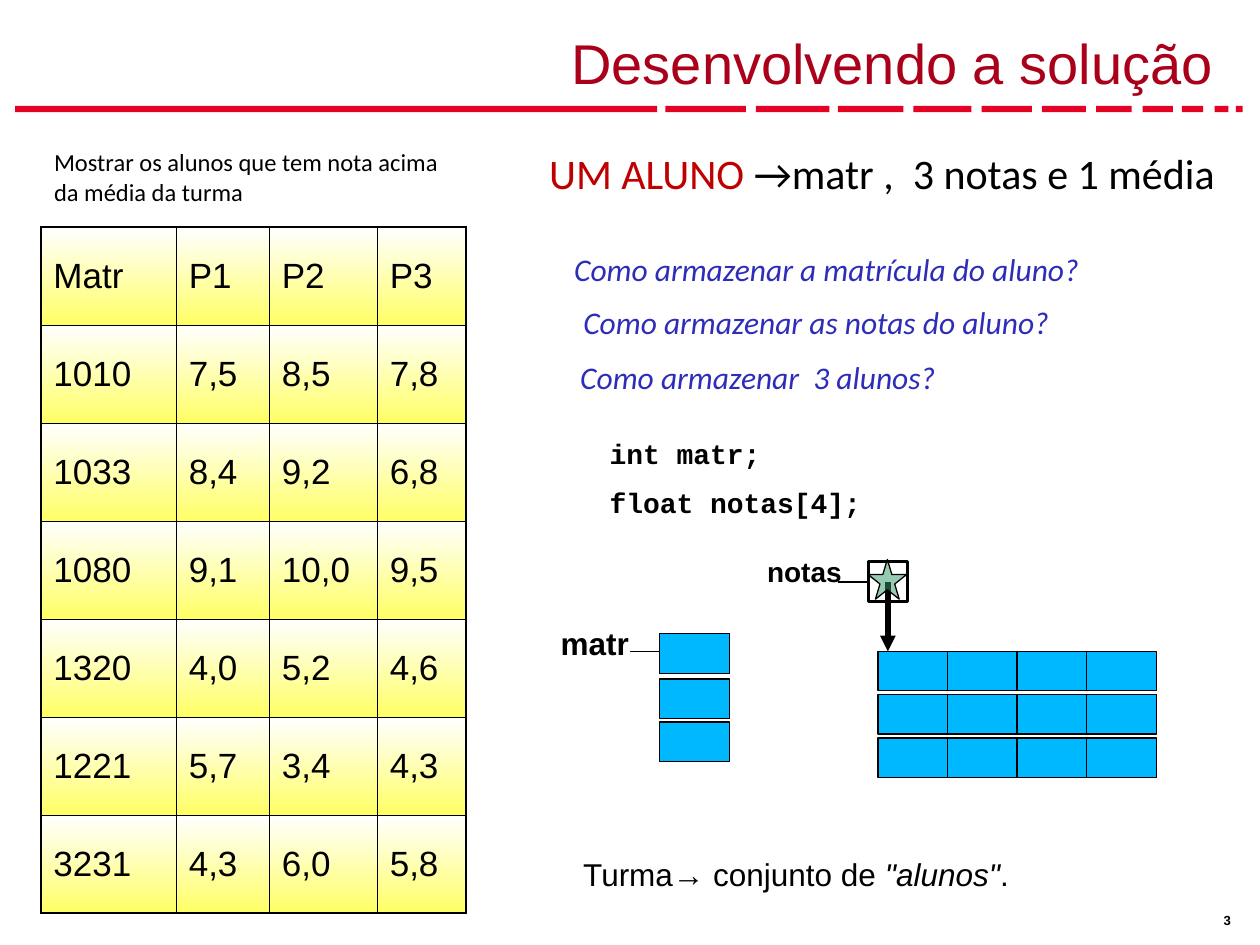
from dataclasses import dataclass
from typing import NamedTuple

from lxml import etree
from pptx import Presentation
from pptx.dml.color import RGBColor
from pptx.enum import shapes as kinds, text as modes
from pptx.oxml import ns
from pptx.util import Pt

RED = RGBColor(0xE4, 0x01, 0x23)
WINE = RGBColor(0xAA, 0x00, 0x1A)
BRICK = RGBColor(0xC0, 0x00, 0x00)
BLUE = RGBColor(0x2D, 0x2D, 0xB9)
SKY = RGBColor(0x00, 0xB8, 0xFF)
GREEN = RGBColor(0x33, 0x99, 0x66)
LEMON = RGBColor(0xFF, 0xFF, 0x66)
WHITE = RGBColor(0xFF, 0xFF, 0xFF)
BLACK = RGBColor(0x00, 0x00, 0x00)

LEFT, MID, RIGHT = modes.PP_ALIGN.LEFT, modes.PP_ALIGN.CENTER, modes.PP_ALIGN.RIGHT
TOP, BASE = modes.MSO_ANCHOR.TOP, modes.MSO_ANCHOR.BOTTOM
RECT, STAR = kinds.MSO_SHAPE.RECTANGLE, kinds.MSO_SHAPE.STAR_5_POINT
THIN, THICK = 0.45, 1.08


class Box(NamedTuple):
    left: float
    top: float
    width: float
    height: float


class Span(NamedTuple):
    text: str
    color: RGBColor = BLACK
    slant: bool = False


@dataclass
class Label:
    box: Box
    spans: list[Span]
    size: float
    font: str = "Arial"
    bold: bool = False
    align: modes.PP_ALIGN = LEFT
    anchor: modes.MSO_ANCHOR = TOP
    pads: tuple[float, float] = (7.2, 3.6)


DASHES = [(8.6, 367), (380.2, 46), (432, 42), (478.8, 37.5), (522, 33.1),
          (560.9, 28.8), (595.4, 25.2), (626.4, 20.2), (653, 17.3),
          (675.4, 12.2), (694.1, 7.9), (706.3, 3.8)]

GRADES = [
    ("Matr", "P1", "P2", "P3"),
    ("1010", "7,5", "8,5", "7,8"),
    ("1033", "8,4", "9,2", "6,8"),
    ("1080", "9,1", "10,0", "9,5"),
    ("1320", "4,0", "5,2", "4,6"),
    ("1221", "5,7", "3,4", "4,3"),
    ("3231", "4,3", "6,0", "5,8"),
]
WIDTHS = [77.4, 53.2, 61.7, 50.6]
TALL = 56

LABELS = [
    Label(Box(693.4, 518.4, 23.8, 14.4), [Span("3")], 7.5, bold=True, pads=(5.8, 2.9)),
    Label(Box(22.3, 5.8, 678.2, 52.6), [Span("Desenvolvendo a solução", WINE)], 32,
          align=RIGHT, anchor=BASE),
    Label(Box(306.7, 80.9, 413.3, 36.7),
          [Span("UM ALUNO ", BRICK), Span("→matr ,  3 notas e 1 média")], 24, "Calibri"),
    Label(Box(321, 139.2, 368, 28.8),
          [Span("Como armazenar a matrícula do aluno?", BLUE, True)], 18, "Calibri"),
    Label(Box(326.2, 169.9, 315.4, 28.8),
          [Span("Como armazenar as notas do aluno?", BLUE, True)], 18, "Calibri"),
    Label(Box(324.5, 201.2, 368, 28.8),
          [Span("Como armazenar  3 alunos?", BLUE, True)], 18, "Calibri"),
    Label(Box(341.3, 246.2, 275.8, 26.6), [Span("int matr;")], 16, "Courier New", True),
    Label(Box(341.3, 273.9, 275.8, 26.6), [Span("float notas[4];")], 16, "Courier New", True),
    Label(Box(320.4, 356.8, 39.6, 21.6), [Span("matr")], 18, bold=True, pads=(0, 0)),
    Label(Box(437, 317, 45.4, 19.4), [Span("notas")], 16, bold=True, align=MID, pads=(0, 0)),
    Label(Box(326.2, 485.3, 275.8, 28.8),
          [Span("Turma→ conjunto de "), Span('"alunos"', slant=True), Span(".")], 18),
    Label(Box(23.8, 80.6, 242.6, 41),
          [Span("Mostrar os alunos que tem nota acima da média da turma")], 14, "Calibri"),
]


def write(slide, label: Label) -> None:
    frame = slide.shapes.add_textbox(*map(Pt, label.box)).text_frame
    frame.word_wrap = True
    frame.vertical_anchor = label.anchor
    frame.margin_left = frame.margin_right = Pt(label.pads[0])
    frame.margin_top = frame.margin_bottom = Pt(label.pads[1])
    para = frame.paragraphs[0]
    para.alignment = label.align
    for span in label.spans:
        run = para.add_run()
        run.text = span.text
        font = run.font
        font.name, font.size, font.bold = label.font, Pt(label.size), label.bold
        font.italic, font.color.rgb = span.slant, span.color


def draw(slide, box: Box, fill: RGBColor | None, line: float = 0, kind=RECT):
    shape = slide.shapes.add_shape(kind, *map(Pt, box))
    shape.shadow.inherit = False
    if fill is None:
        shape.fill.background()
    else:
        shape.fill.solid()
        shape.fill.fore_color.rgb = fill
    if line:
        shape.line.color.rgb = BLACK
        shape.line.width = Pt(line)
    else:
        shape.line.fill.background()
    return shape


def link(slide, start: tuple[float, float], end: tuple[float, float],
         width: float = 0.75, head: bool = False) -> None:
    line = slide.shapes.add_connector(
        kinds.MSO_CONNECTOR.STRAIGHT, *map(Pt, start + end))
    line.line.color.rgb = BLACK
    line.line.width = Pt(width)
    props = line._element.spPr
    if head:
        etree.SubElement(props.find(ns.qn("a:ln")), ns.qn("a:tailEnd"), type="triangle")
    etree.SubElement(props, ns.qn("a:effectLst"))


def edge(cell, side: str, width: float) -> None:
    line = etree.SubElement(cell._tc.get_or_add_tcPr(), ns.qn(f"a:{side}"),
                            w=str(Pt(width)))
    fill = etree.SubElement(line, ns.qn("a:solidFill"))
    etree.SubElement(fill, ns.qn("a:srgbClr"), val=str(BLACK))


def shade(cell) -> None:
    cell.fill.gradient()
    cell.fill.gradient_angle = 270
    for stop, color, place in zip(cell.fill.gradient_stops, (WHITE, LEMON), (0, 1)):
        stop.color.rgb = color
        stop.position = place


def chart_grades(slide) -> None:
    rows, cols = len(GRADES), len(WIDTHS)
    box = Box(23.3, 129.8, sum(WIDTHS), TALL * rows)
    table = slide.shapes.add_table(rows, cols, *map(Pt, box)).table
    for col, width in zip(table.columns, WIDTHS):
        col.width = Pt(width)
    for r, grades in enumerate(GRADES):
        table.rows[r].height = Pt(TALL)
        for c, grade in enumerate(grades):
            cell = table.cell(r, c)
            cell.margin_left = cell.margin_right = Pt(7.2)
            cell.margin_top, cell.margin_bottom = Pt(5), Pt(3.6)
            cell.vertical_anchor = modes.MSO_ANCHOR.MIDDLE
            cell.text_frame.text = grade
            para = cell.text_frame.paragraphs[0]
            para.line_spacing = 0.95
            font = para.runs[0].font
            font.name, font.size, font.bold = "Arial", Pt(20), False
            font.color.rgb = BLACK
            rims = {"lnL": c == 0, "lnR": c == cols - 1,
                    "lnT": r == 0, "lnB": r == rows - 1}
            for side, rim in rims.items():
                edge(cell, side, THICK if rim else THIN)
            shade(cell)


def main() -> None:
    deck = Presentation()
    deck.slide_width, deck.slide_height = Pt(720), Pt(540)
    slide = deck.slides.add_slide(deck.slide_layouts[6])

    for left, width in DASHES:
        draw(slide, Box(left, 60.5, width, 3.6), RED)
    chart_grades(slide)
    for label in LABELS:
        write(slide, label)

    for top in (362.2, 388.1, 412.6):
        draw(slide, Box(377, top, 40, 22.5), SKY, 0.75)
    for row in range(3):
        for col in range(4):
            draw(slide, Box(501.8 + 39.7 * col, 372.2 + 24.8 * row, 40, 22.5), SKY, 0.75)

    link(slide, (360, 372.2), (377, 372.2))
    link(slide, (478.8, 332.6), (496.1, 332.6))
    link(slide, (507.4, 332.6), (507.4, 372.2), 3, True)
    draw(slide, Box(496.1, 321.1, 22.6, 22.6), None, 1.75)
    star = draw(slide, Box(496.1, 319.7, 22, 22.7), GREEN, 0.75, STAR)
    tint = star._element.spPr.find(ns.qn("a:solidFill"))[0]
    etree.SubElement(tint, ns.qn("a:alpha"), val="51000")

    deck.save("out.pptx")


if __name__ == "__main__":
    main()
